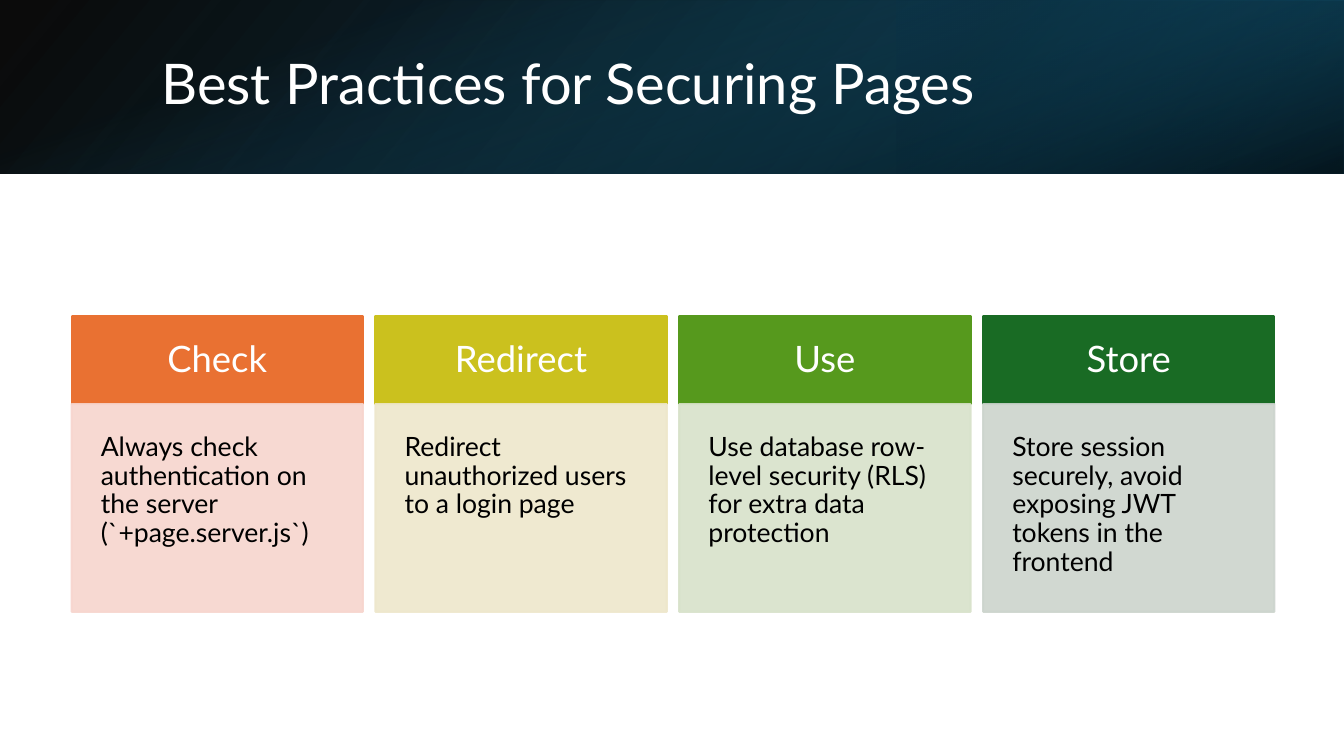
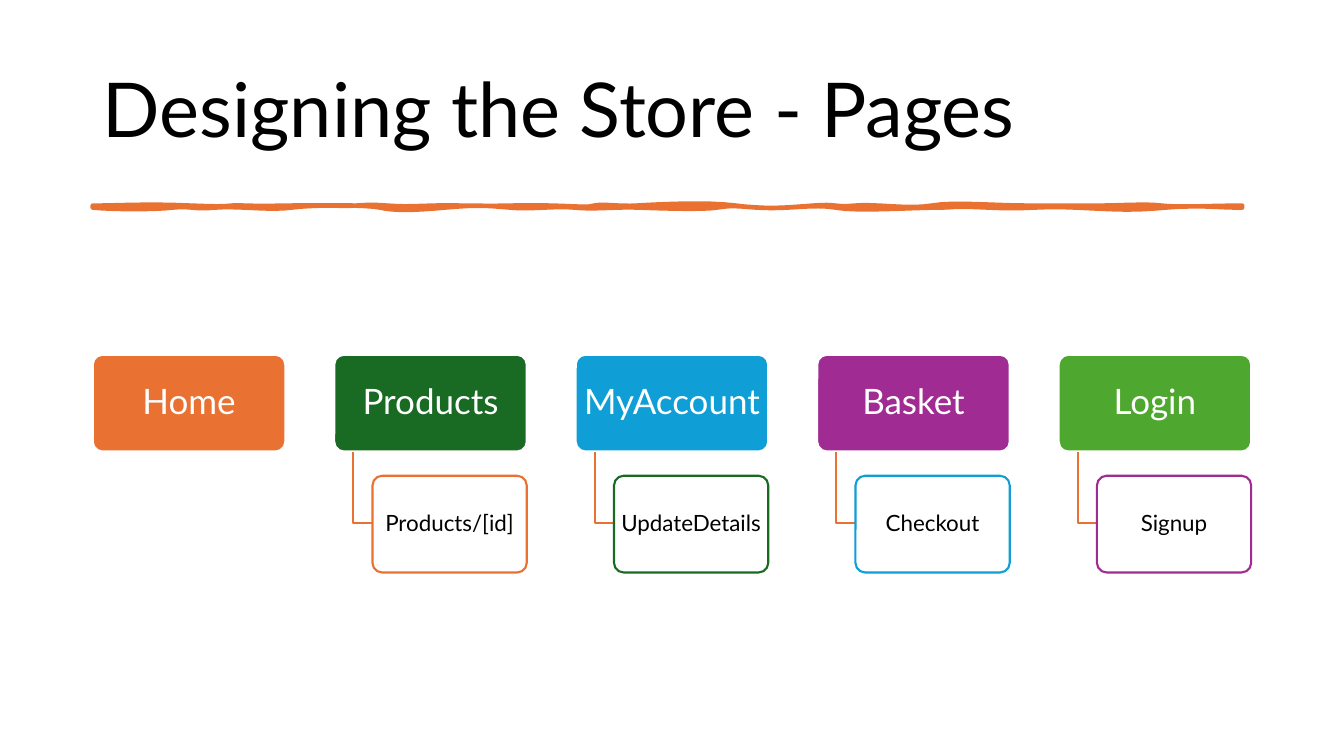
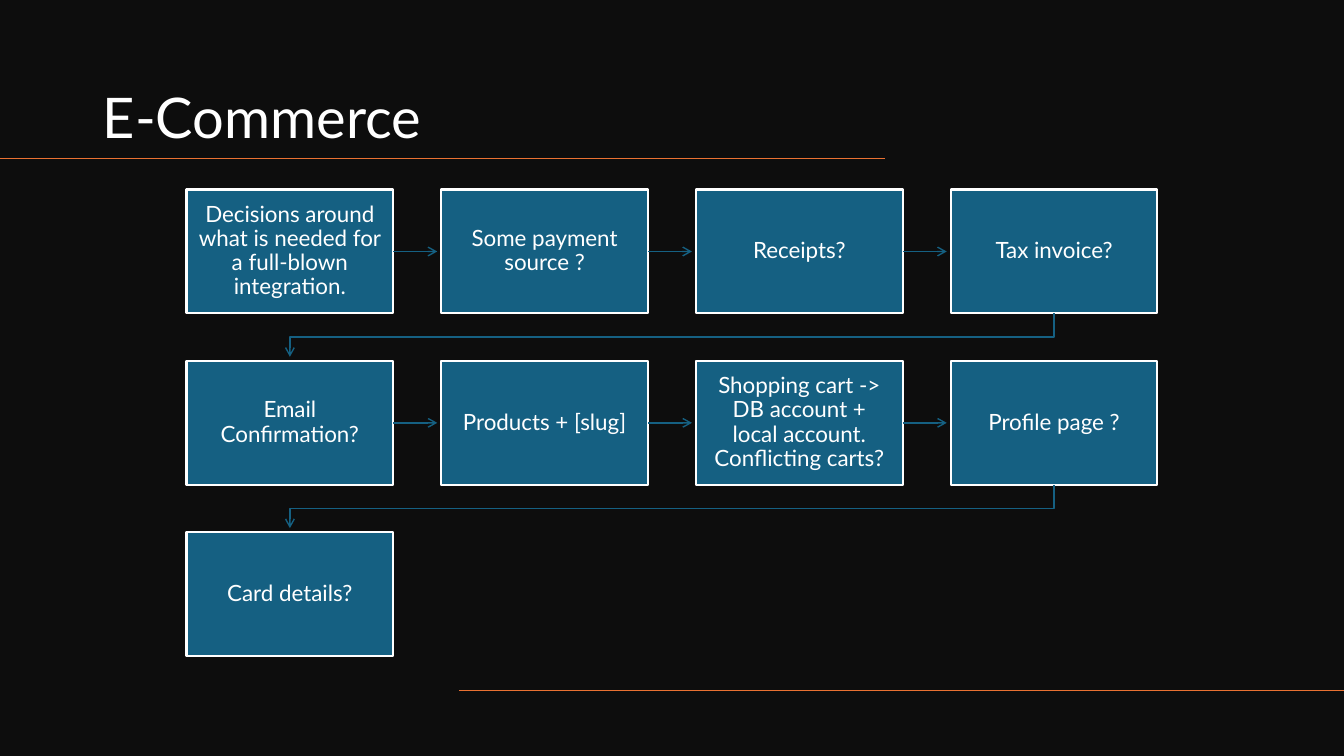
from pptx import Presentation
from pptx.dml.color import RGBColor
from pptx.enum.shapes import MSO_CONNECTOR, MSO_SHAPE
from pptx.enum.text import MSO_ANCHOR, MSO_AUTO_SIZE, PP_ALIGN
from pptx.oxml.ns import qn
from pptx.util import Inches, Pt
from lxml import etree

RECT, ROUND = MSO_SHAPE.RECTANGLE, MSO_SHAPE.ROUNDED_RECTANGLE
STRAIGHT = MSO_CONNECTOR.STRAIGHT
TOP, MIDDLE, BOTTOM = MSO_ANCHOR.TOP, MSO_ANCHOR.MIDDLE, MSO_ANCHOR.BOTTOM
LEFT, CENTER = PP_ALIGN.LEFT, PP_ALIGN.CENTER

FONT = "Lato"
WHITE = RGBColor(0xFF, 0xFF, 0xFF)
BLACK = RGBColor(0x00, 0x00, 0x00)
NIGHT = RGBColor(0x0D, 0x0D, 0x0D)
ORANGE = RGBColor(0xE9, 0x71, 0x32)
GOLD = RGBColor(0xCB, 0xC1, 0x1E)
LEAF = RGBColor(0x56, 0x99, 0x1D)
FOREST = RGBColor(0x19, 0x6B, 0x24)
SKY = RGBColor(0x0F, 0x9E, 0xD5)
PLUM = RGBColor(0xA0, 0x2B, 0x93)
GREEN = RGBColor(0x4E, 0xA7, 0x2E)
TEAL = RGBColor(0x15, 0x60, 0x82)
STEEL = RGBColor(0x10, 0x48, 0x62)
DEEP = RGBColor(0x0B, 0x30, 0x41)
PINK = RGBColor(0xF7, 0xD5, 0xCE)
CREAM = RGBColor(0xEE, 0xE7, 0xCB)
MINT = RGBColor(0xD8, 0xE2, 0xCA)
MIST = RGBColor(0xCC, 0xD4, 0xCD)

deck = Presentation()
deck.slide_width, deck.slide_height = Inches(13.33), Inches(7.5)
layout = deck.slide_layouts[5]


def write(shape, text, size, color, align, anchor, pad):
    """Fill a shape's frame; a line feed becomes a line break."""
    frame = shape.text_frame
    frame.word_wrap = True
    frame.auto_size = MSO_AUTO_SIZE.NONE
    frame.vertical_anchor = anchor
    frame.margin_left = frame.margin_right = Inches(pad[0])
    frame.margin_top = frame.margin_bottom = Inches(pad[1])
    para = frame.paragraphs[0]
    para.alignment = align
    para.line_spacing = 0.9
    for n, part in enumerate(text.split("\n")):
        if n:
            para.add_line_break()
        run = para.add_run()
        run.text = part
        run.font.name, run.font.size = FONT, Pt(size)
        run.font.color.rgb = color


def box(slide, kind, place, fill, line):
    shape = slide.shapes.add_shape(kind, *map(Inches, place))
    shape.shadow.inherit = False
    shape.fill.solid()
    shape.fill.fore_color.rgb = fill
    shape.line.color.rgb = line
    shape.line.width = Pt(1.5)
    if kind == ROUND:
        shape.adjustments[0] = 0.1
    return shape


# Titles
heads = [
    ("Best Practices for Securing Pages", (1.5, 0.38, 10.98, 0.96), 40, WHITE, MIDDLE),
    ("Designing the Store - Pages", (0.92, 0.4, 11.5, 1.45), 54, BLACK, MIDDLE),
    ("E-Commerce", (0.92, 0.42, 7.86, 1.12), 40, WHITE, BOTTOM),
]
slides = []
for text, place, size, color, anchor in heads:
    slide = deck.slides.add_slide(layout)
    title = slide.shapes.title
    title.left, title.top, title.width, title.height = map(Inches, place)
    write(title, text, size, color, LEFT, anchor, (0.1, 0.05))
    slides.append(slide)
safe, store, shop = slides
lines = []  # shape, colour, points, arrow

# Securing pages: layered gradient band behind the title
bands = [
    ((0, 0, 13.33, 1.72), 0, True, 140, [(0, BLACK, 96), (100, STEEL, 100)]),
    ((8.89, 0, 4.44, 1.72), 180, True, 320, [(19, DEEP, 68), (100, TEAL, 79)]),
    ((5.8, -5.8, 1.72, 13.33), 90, False, 340, [(23, TEAL, 0), (99, BLACK, 74)]),
]
for place, turn, flip, angle, stops in bands:
    band = safe.shapes.add_shape(RECT, *map(Inches, place))
    band.shadow.inherit = False
    band.line.fill.background()
    band.rotation = turn
    if flip:
        band.element.spPr.xfrm.set("flipH", "1")
    band.fill.gradient()
    band.fill.gradient_angle = 360 - angle
    for stop, (spot, color, alpha) in zip(band.fill.gradient_stops, stops):
        stop.position = spot / 100
        stop.color.rgb = color
    for node, (spot, color, alpha) in zip(band.element.spPr.iter(qn("a:srgbClr")), stops):
        etree.SubElement(node, qn("a:alpha"), val=str(alpha * 1000))
safe.shapes.element.append(safe.shapes.title.element)

# Securing pages: four cards
cards = [
    ("Check", "Always check authentication on the server (`+page.server.js`)", ORANGE, PINK),
    ("Redirect", "Redirect unauthorized users to a login page", GOLD, CREAM),
    ("Use", "Use database row-level security (RLS) for extra data protection", LEAF, MINT),
    ("Store", "Store session securely, avoid exposing JWT tokens in the frontend", FOREST, MIST),
]
wide = 2.89
step = (12.64 - 0.71 - wide) / 3
for i, (name, text, dark, pale) in enumerate(cards):
    x = 0.71 + i * step
    top = box(safe, RECT, (x, 3.14, wide, 0.87), dark, dark)
    write(top, name, 26, WHITE, CENTER, MIDDLE, (0.23, 0.23))
    body = box(safe, RECT, (x, 4.01, wide, 2.06), pale, pale)
    for node in body.element.spPr.iter(qn("a:srgbClr")):
        etree.SubElement(node, qn("a:alpha"), val="90000")
    write(body, text, 19, BLACK, LEFT, TOP, (0.29, 0.29))

# Store pages: brush stroke, each curve as x1, y1, x2, y2, end x
upper = [
    (1.19, 2.04, 1.44, 2.02, 1.9), (2.37, 2.06, 2.2, 2.03, 2.44),
    (2.67, 2.05, 3.03, 2.03, 3.31), (3.6, 2.05, 3.59, 2.02, 3.84),
    (4.1, 2.06, 4.23, 2.03, 4.6), (4.98, 2.05, 5.14, 2.03, 5.48),
    (5.81, 2.05, 5.81, 2.06, 5.89), (5.98, 2.02, 6.15, 2.05, 6.31),
    (6.47, 2.03, 7.01, 2, 7.3), (7.59, 2.08, 7.81, 2.06, 8.06),
    (8.31, 2.02, 8.27, 2.06, 8.48), (8.68, 2.02, 9.01, 2.08, 9.24),
    (9.47, 2, 9.82, 2.04, 10.23), (10.63, 2.04, 10.63, 2.04, 10.87),
    (11.12, 2.04, 11.36, 2.02, 11.52), (11.68, 2.06, 12.03, 2.04, 12.32),
]
lower = [
    (12.05, 2.06, 11.89, 2.03, 11.56), (11.22, 2.09, 11.1, 2.08, 10.68),
    (10.27, 2.04, 10.23, 2.08, 9.81), (9.39, 2.04, 9.52, 2.06, 9.28),
    (9.04, 2.06, 8.51, 2.1, 8.29), (8.06, 2.02, 7.82, 2.08, 7.53),
    (7.24, 2.04, 7.25, 2.04, 7.11), (6.98, 2.08, 6.61, 2.07, 6.35),
    (6.09, 2.05, 5.9, 2.08, 5.7), (5.51, 2.04, 5.28, 2.08, 5.06),
    (4.83, 2.04, 4.73, 2.03, 4.41), (4.09, 2.09, 3.9, 2.09, 3.77),
    (3.63, 2.03, 3.1, 2.03, 2.89), (2.68, 2.09, 2.35, 2.04, 2.13),
    (1.92, 2.08, 1.89, 2.04, 1.71), (1.54, 2.08, 1.14, 2.08, 0.92),
]
dots = []
for x, y, edge in ((0.92, 2.04, upper), (12.32, 2.06, lower)):
    dots.append((x, y))
    for x1, y1, x2, y2, end in edge:
        for k in range(1, 9):
            t = k / 8
            u = 1 - t
            a, b, c, d = u ** 3, 3 * u * u * t, 3 * u * t * t, t ** 3
            dots.append((a * x + b * x1 + c * x2 + d * end,
                         a * y + b * y1 + c * y2 + d * y))
        x = end
pen = store.shapes.build_freeform(*map(Inches, dots[0]))
pen.add_line_segments([(Inches(x), Inches(y)) for x, y in dots[1:]], close=True)
brush = pen.convert_to_shape()
brush.fill.solid()
brush.fill.fore_color.rgb = ORANGE
lines.append((brush, ORANGE, 3.25, False))

# Store pages: page tree
pages = [
    ("Home", "", ORANGE),
    ("Products", "Products/[id]", FOREST),
    ("MyAccount", "UpdateDetails", SKY),
    ("Basket", "Checkout", PLUM),
    ("Login", "Signup", GREEN),
]
step = (10.5 - 0.92) / 4
last = None
for i, (name, child, color) in enumerate(pages):
    x = 0.92 + i * step
    page = box(store, ROUND, (x, 3.52, 1.91, 0.96), color, WHITE)
    write(page, name, 25, WHITE, CENTER, MIDDLE, (0.05, 0.03))
    if child:
        pen = store.shapes.build_freeform(Inches(x + 0.19), Inches(4.48))
        pen.add_line_segments([(Inches(x + 0.19), Inches(5.19)),
                               (Inches(x + 0.38), Inches(5.19))], close=False)
        stem = pen.convert_to_shape()
        stem.fill.background()
        lines.append((stem, ORANGE, 1.5, False))
        leaf = box(store, ROUND, (x + 0.38, 4.72, 1.53, 0.96), WHITE, last)
        write(leaf, child, 16, BLACK, CENTER, MIDDLE, (0.03, 0.02))
    last = color

# E-commerce: dark ground and two rules
shop.background.fill.solid()
shop.background.fill.fore_color.rgb = NIGHT
for x, end, y in ((8.78, 0, 1.57), (13.33, 4.55, 6.85)):
    rule = shop.shapes.add_connector(STRAIGHT, *map(Inches, (x, y, end, y)))
    lines.append((rule, ORANGE, 1, False))

# E-commerce: steps in rows of four
steps = [
    "Decisions around what is needed for a full-blown integration.",
    "Some payment source ?", "Receipts?", "Tax invoice?",
    "Email Confirmation?", "Products + [slug]",
    "Shopping cart -> DB account +\nlocal account. Conflicting carts?",
    "Profile page ?", "Card details?",
]
wide, high, gap = 2.05, 1.23, 0.04
step = (9.43 - 1.85) / 3
for i, text in enumerate(steps):
    row, col = divmod(i, 4)
    x, y = 1.85 + col * step, 1.88 + row * 1.7
    cell = box(shop, RECT, (x, y, wide, high), TEAL, WHITE)
    write(cell, text, 16, WHITE, CENTER, MIDDLE, (0.1, 0.11))
    if i == len(steps) - 1:
        break
    if col < 3:
        mid = y + high / 2
        arrow = shop.shapes.add_connector(
            STRAIGHT, *map(Inches, (x + wide, mid, x + step - gap, mid)))
        arrow.begin_connect(cell, 3)
    else:
        start, end = x + wide / 2, 1.85 + wide / 2
        turn = y + (high + 1.7) / 2
        pen = shop.shapes.build_freeform(Inches(start), Inches(y + high))
        pen.add_line_segments([(Inches(start), Inches(turn)), (Inches(end), Inches(turn)),
                               (Inches(end), Inches(y + 1.7 - gap))], close=False)
        arrow = pen.convert_to_shape()
        arrow.fill.background()
    lines.append((arrow, TEAL, 1, True))

# Line style: colour, width, arrowhead, no shadow
for item, color, width, arrow in lines:
    item.line.color.rgb = color
    item.line.width = Pt(width)
    prop = item.element.spPr
    if arrow:
        etree.SubElement(prop.find(qn("a:ln")), qn("a:tailEnd"), type="arrow")
    etree.SubElement(prop, qn("a:effectLst"))

deck.save("out.pptx")
